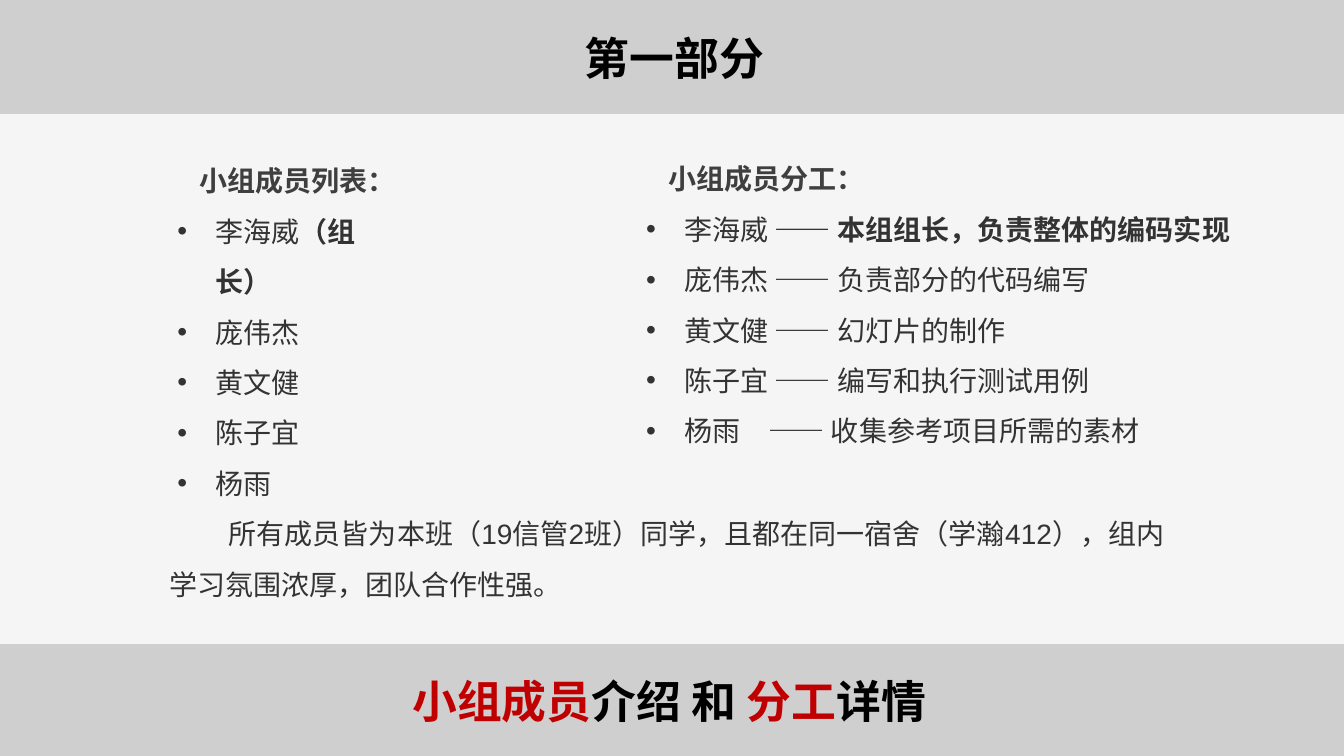
import pptx
import pptx.dml.color
import pptx.enum.shapes
import pptx.enum.text
import pptx.oxml
import pptx.oxml.ns
import pptx.util
from pptx.util import Inches

CJK_FONT = "Noto Sans CJK SC"
BLACK, RED, HEADING_GREY, TEXT_GREY = "000000", "C00000", "3F3F3F", "333333"
SLIDE_WIDTH, SLIDE_HEIGHT, BAND_HEIGHT = 13.33, 7.5, 1.13
FIRST_LINE_INDENT = 0.59

MEMBERS = [
    [("李海威", False), ("（组长）", True)],
    [("庞伟杰", False)],
    [("黄文健", False)],
    [("陈子宜", False)],
    [("杨雨", False)],
]
DUTIES = [
    [("李海威 ", False), ("—— 本组组长，负责整体的编码实现", True)],
    [("庞伟杰 —— 负责部分的代码编写", False)],
    [("黄文健 —— 幻灯片的制作", False)],
    [("陈子宜 —— 编写和执行测试用例", False)],
    [("杨雨　—— 收集参考项目所需的素材", False)],
]
SUMMARY = "所有成员皆为本班（19信管2班）同学，且都在同一宿舍（学瀚412），组内学习氛围浓厚，团队合作性强。"


def color(hex_string):
    return pptx.dml.color.RGBColor.from_string(hex_string)


def add_child(parent, tag, **attributes):
    child = pptx.oxml.ns.qn(tag)
    element = parent.makeelement(child, attributes)
    parent.append(element)
    return element


def add_panel(slide, top, height, fill):
    """Add a full-width rectangle at 70 % opacity."""
    panel = slide.shapes.add_shape(
        pptx.enum.shapes.MSO_SHAPE.RECTANGLE,
        0, Inches(top), Inches(SLIDE_WIDTH), Inches(height))
    panel.shadow.inherit = False
    panel.line.fill.background()
    panel.fill.solid()
    panel.fill.fore_color.rgb = color(fill)
    fill_color = panel.fill._xPr.find(".//" + pptx.oxml.ns.qn("a:srgbClr"))
    add_child(fill_color, "a:alpha", val="70000")


def add_text_frame(slide, left, top, width, height):
    box = slide.shapes.add_textbox(
        Inches(left), Inches(top), Inches(width), Inches(height))
    frame = box.text_frame
    frame.word_wrap = True
    frame.auto_size = pptx.enum.text.MSO_AUTO_SIZE.SHAPE_TO_FIT_TEXT
    return frame


def add_run(paragraph, text, size=20, fill=TEXT_GREY, bold=False, latin=CJK_FONT):
    run = paragraph.add_run()
    run.text = text
    run.font.size = pptx.util.Pt(size)
    run.font.bold = bold
    run.font.name = latin
    run.font.color.rgb = color(fill)
    add_child(run.font._element, "a:ea", typeface=CJK_FONT)


def format_paragraph(paragraph, margin=0, indent=0, bullet=False):
    paragraph.line_spacing = 1.5
    properties = paragraph._p.get_or_add_pPr()
    properties.set("marL", str(Inches(margin)))
    properties.set("indent", str(Inches(indent)))
    if bullet:
        add_child(properties, "a:buFont", typeface="Arial")
        add_child(properties, "a:buChar", char="•")


def add_title(slide, left, top, width, parts):
    frame = add_text_frame(slide, left, top, width, 0.64)
    for text, fill in parts:
        add_run(frame.paragraphs[0], text, size=32, fill=fill, bold=True)


def add_bullet_list(slide, left, top, width, heading, items):
    frame = add_text_frame(slide, left, top, width, 3.08)
    paragraph = frame.paragraphs[0]
    format_paragraph(paragraph, indent=FIRST_LINE_INDENT)
    add_run(paragraph, heading, fill=HEADING_GREY, bold=True)
    for item in items:
        paragraph = frame.add_paragraph()
        format_paragraph(paragraph, margin=0.75, indent=-0.38, bullet=True)
        for text, bold in item:
            add_run(paragraph, text, bold=bold)


def add_summary(slide):
    paragraph = add_text_frame(slide, 1.58, 4.91, 10.25, 1.06).paragraphs[0]
    format_paragraph(paragraph, indent=FIRST_LINE_INDENT)
    add_run(paragraph, SUMMARY, latin="Arial")


def main():
    presentation = pptx.Presentation()
    presentation.slide_width = Inches(SLIDE_WIDTH)
    presentation.slide_height = Inches(SLIDE_HEIGHT)
    slide = presentation.slides.add_slide(presentation.slide_layouts[6])

    add_panel(slide, 0, SLIDE_HEIGHT, "F2F2F2")
    add_panel(slide, 0, BAND_HEIGHT, "BFBFBF")
    add_title(slide, 5.7, 0.26, 2.02, [("第一部分", BLACK)])
    add_panel(slide, 6.39, BAND_HEIGHT, "BFBFBF")
    add_title(slide, 3.99, 6.63, 5.44, [
        ("小组成员", RED), ("介绍 和 ", BLACK), ("分工", RED), ("详情", BLACK)])
    add_bullet_list(slide, 1.29, 1.41, 2.87, "小组成员列表：", MEMBERS)
    add_bullet_list(slide, 5.94, 1.39, 6.73, "小组成员分工：", DUTIES)
    add_summary(slide)

    presentation.save("out.pptx")


if __name__ == "__main__":
    main()
